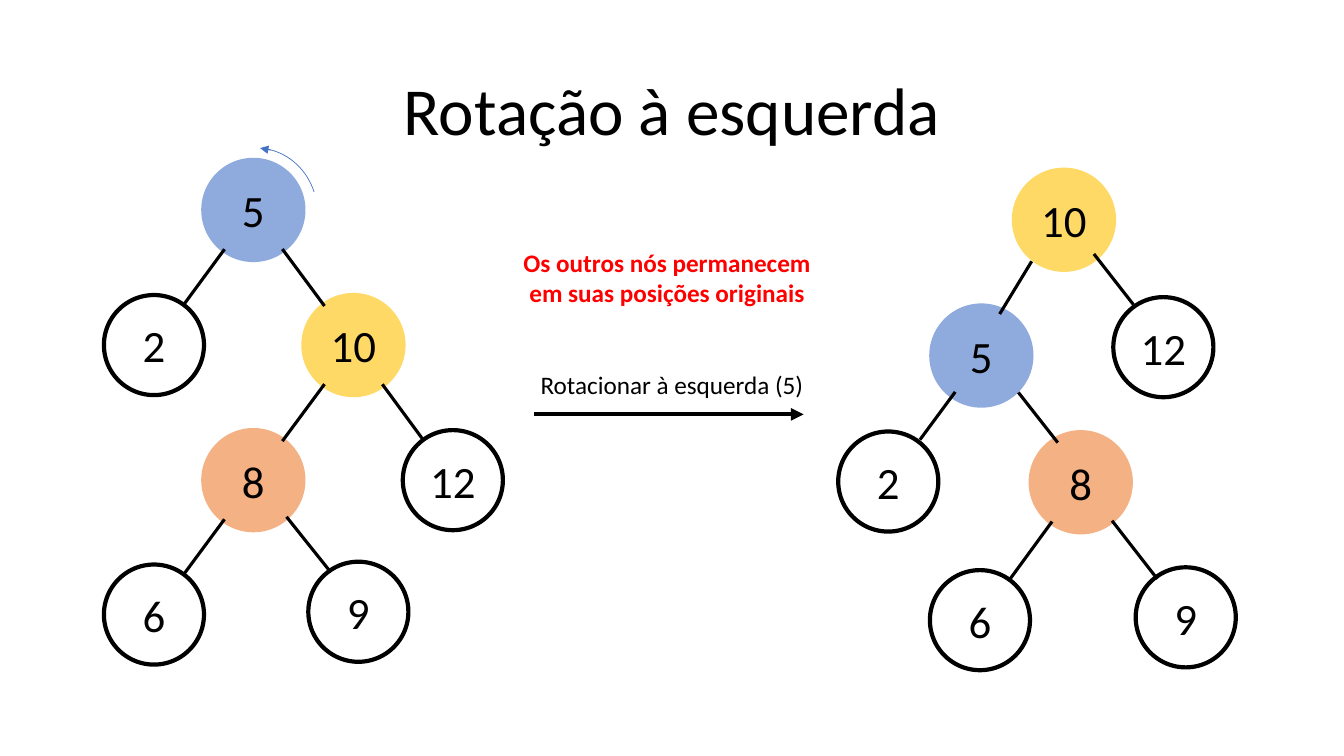
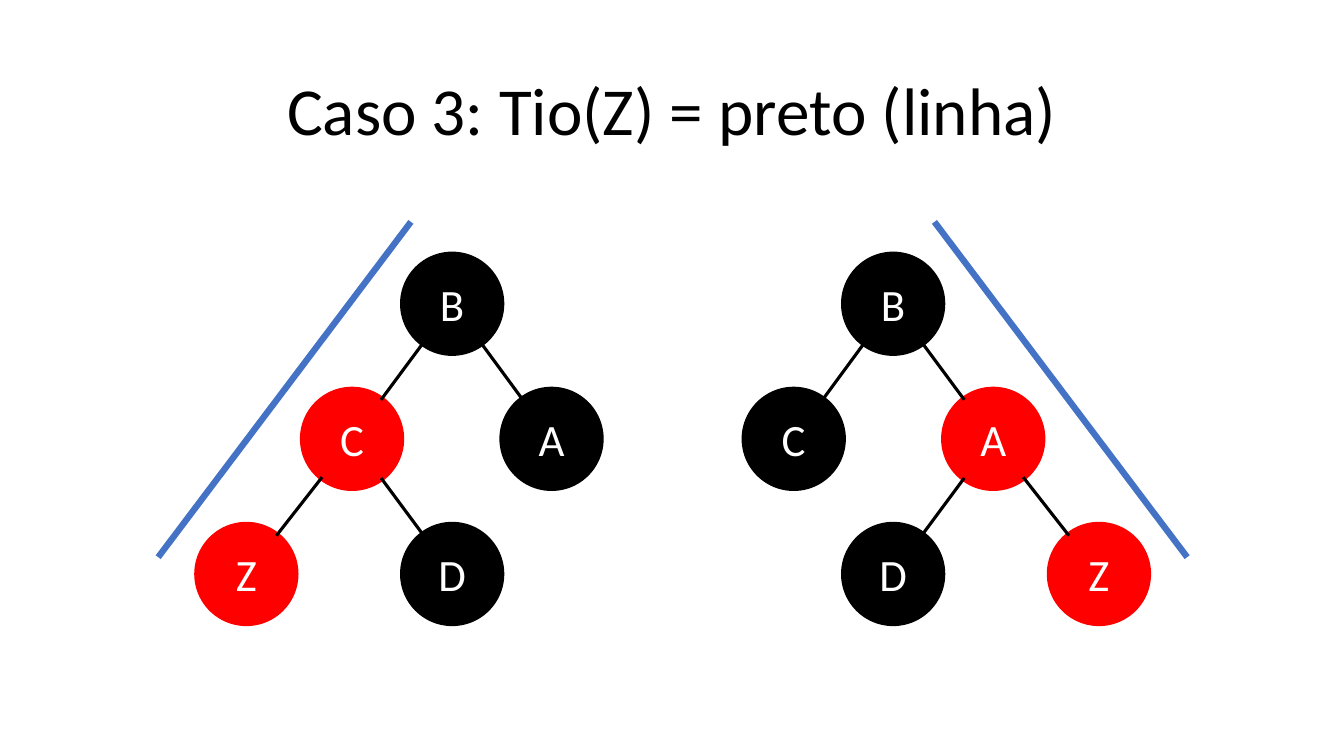
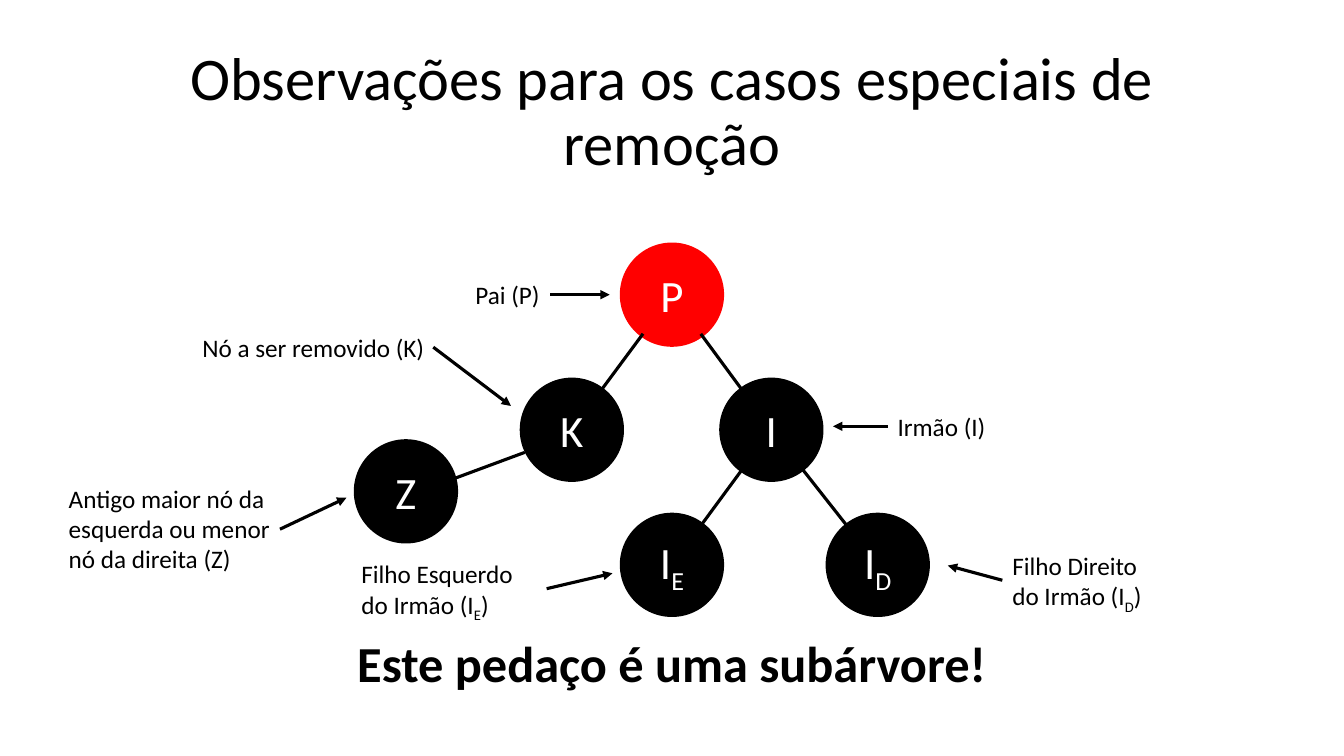
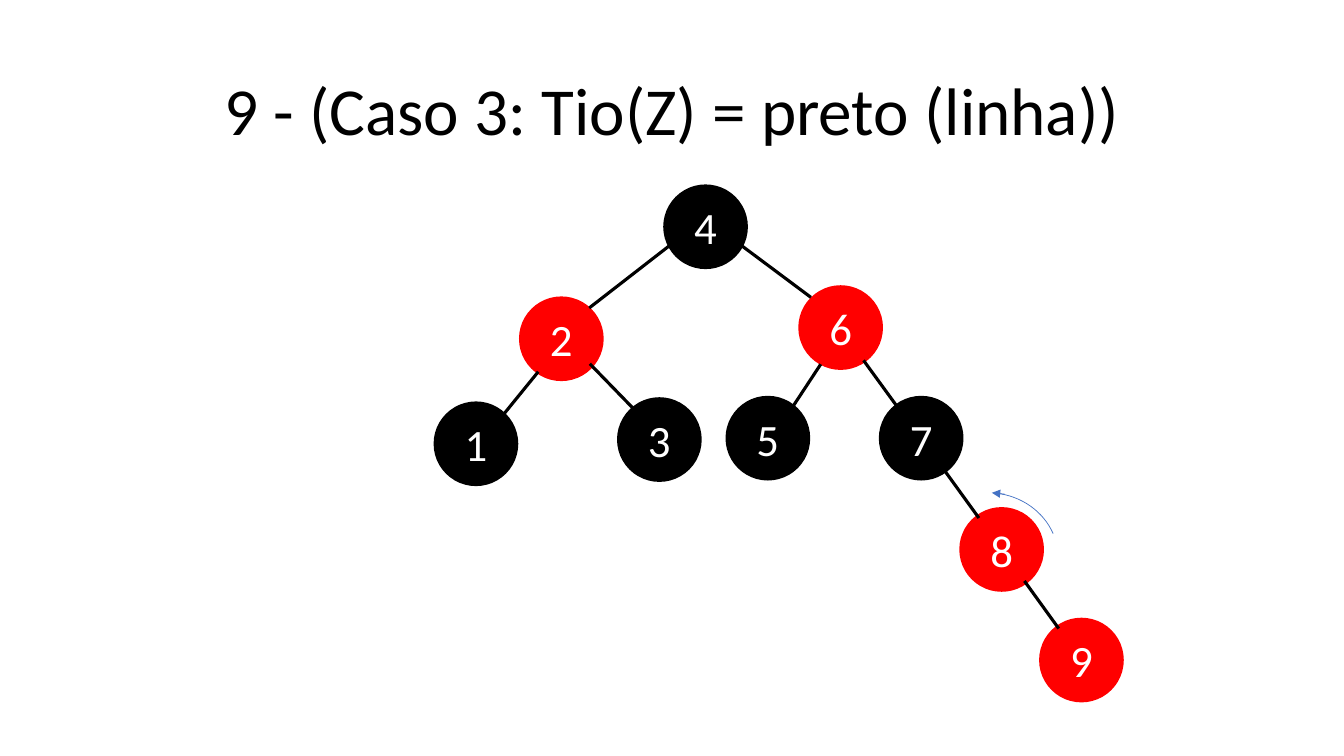
from dataclasses import dataclass
from math import hypot

from lxml.etree import SubElement
from pptx import Presentation
from pptx.dml.color import RGBColor
from pptx.enum.shapes import MSO_CONNECTOR, MSO_SHAPE
from pptx.enum.text import MSO_ANCHOR, PP_ALIGN
from pptx.oxml.ns import qn
from pptx.util import Pt


@dataclass(frozen=True)
class Theme:
    font: str = "Calibri"
    black: str = "000000"
    white: str = "FFFFFF"
    red: str = "FF0000"
    blue: str = "4472C4"
    soft_blue: str = "8FAADC"
    yellow: str = "FFD966"
    orange: str = "F4B183"
    title: float = 48
    long_title: float = 43.2
    closing: float = 36
    key: float = 32
    label: float = 18
    edge: float = 2.25
    outline: float = 3
    bar: float = 4.5
    hairline: float = 0.5


THEME = Theme()
LARGE, SMALL = 71.5, 57.5


def rgb(value):
    return RGBColor.from_string(value)


def write(shape, text, size, color, align=PP_ALIGN.LEFT, bold=False, spacing=None):
    """Fill a shape with one paragraph; text between underscores is subscript."""
    para = shape.text_frame.paragraphs[0]
    para.alignment = align
    if spacing:
        para.line_spacing = spacing
    font = para.font
    font.name, font.size, font.bold = THEME.font, Pt(size), bold
    font.color.rgb = rgb(color)
    for index, piece in enumerate(text.split("_")):
        if piece:
            span = para.add_run()
            span.text = piece
            if index % 2:
                span.font._element.set("baseline", "-25000")


def add_text(page, text, left, top, width, height, size=THEME.label,
             color=THEME.black, anchor=MSO_ANCHOR.TOP, **style):
    box = page.shapes.add_textbox(Pt(left), Pt(top), Pt(width), Pt(height))
    box.text_frame.word_wrap = True
    box.text_frame.vertical_anchor = anchor
    write(box, text, size, color, **style)


def add_page(deck, title, size=THEME.title):
    page = deck.slides.add_slide(deck.slide_layouts[6])
    add_text(page, title, 66, 29, 828, 104, size, anchor=MSO_ANCHOR.MIDDLE,
             align=PP_ALIGN.CENTER, spacing=0.9)
    return page


def add_line(page, start, end, color=THEME.black, width=THEME.edge, arrow=False):
    line = page.shapes.add_connector(
        MSO_CONNECTOR.STRAIGHT, *(Pt(value) for value in (*start, *end)))
    line.line.color.rgb = rgb(color)
    line.line.width = Pt(width)
    if arrow:
        SubElement(line.line._get_or_add_ln(), qn("a:tailEnd"), type="triangle")
    SubElement(line._element.spPr, qn("a:effectLst"))


def add_node(page, text, center, diameter, fill, outline, color):
    x, y = center
    node = page.shapes.add_shape(
        MSO_SHAPE.OVAL, Pt(x - diameter / 2), Pt(y - diameter / 2),
        Pt(diameter), Pt(diameter))
    node.shadow.inherit = False
    node.fill.solid()
    node.fill.fore_color.rgb = rgb(fill)
    node.line.color.rgb = rgb(outline)
    node.line.width = Pt(THEME.outline)
    frame = node.text_frame
    frame.margin_left = frame.margin_right = 0
    frame.margin_top = frame.margin_bottom = 0
    frame.vertical_anchor = MSO_ANCHOR.MIDDLE
    write(node, text, THEME.key, color, PP_ALIGN.CENTER)


def add_edge(page, parent, child, diameter, shift=(0, 0)):
    """Join the rims of two nodes along the line between their centers."""
    dx, dy = child[0] - parent[0], child[1] - parent[1]
    reach = (diameter / 2 - 1) / hypot(dx, dy)

    def point(part):
        return parent[0] + dx * part + shift[0], parent[1] + dy * part + shift[1]

    add_line(page, point(reach), point(1 - reach))


def add_tree(page, centers, edges, look, diameter=LARGE):
    """Draw nodes, then edges given as (parent, child[, shift])."""
    for key, center in centers.items():
        add_node(page, key, center, diameter, *look(key))
    for parent, child, *shift in edges:
        add_edge(page, centers[parent], centers[child], diameter, *shift)


def red_black(red_keys):
    def look(key):
        fill = THEME.red if key in red_keys else THEME.black
        return fill, fill, THEME.white
    return look


def rotation_look(key):
    fills = {"5": THEME.soft_blue, "10": THEME.yellow, "8": THEME.orange}
    return fills.get(key, THEME.white), fills.get(key, THEME.black), THEME.black


def add_turn(page, left, top, width, height, head, tip):
    """Draw a counterclockwise arc ending in a small arrow from head to tip."""
    arc = page.shapes.add_shape(
        MSO_SHAPE.ARC, Pt(left), Pt(top), Pt(width), Pt(height))
    arc.adjustments[0], arc.adjustments[1] = 168.13, 203.61
    arc.shadow.inherit = False
    arc.fill.background()
    arc.line.color.rgb = rgb(THEME.blue)
    arc.line.width = Pt(THEME.hairline)
    add_line(page, head, tip, THEME.blue, THEME.hairline, arrow=True)


def rotation_page(deck):
    page = add_page(deck, "Rotação à esquerda")
    before = {
        "5": (181, 150), "2": (110, 246.5), "10": (252.5, 246.5), "8": (181, 343),
        "12": (323.5, 343), "6": (110, 439), "9": (256, 437),
    }
    after = {
        "10": (760, 157), "12": (831, 248), "5": (701, 254), "2": (634.5, 344),
        "8": (772, 344.5), "6": (700, 443), "9": (847, 441),
    }
    add_tree(page, before, [
        ("5", "2"), ("5", "10"), ("10", "8"), ("10", "12"), ("8", "6"),
        ("8", "9", (2, -1))], rotation_look)
    add_tree(page, after, [
        ("10", "5", (-5, 0)), ("10", "12", (0, -3)), ("5", "2", (2, -2)),
        ("5", "8", (5, -1)), ("8", "6"), ("8", "9", (1, 0))], rotation_look)
    add_turn(page, 139.7, 105.8, 87.1, 93.6, (193.7, 107.3), (185.8, 105.8))
    add_text(page, "Os outros nós permanecem em suas posições originais",
             359, 173, 235, 51, color=THEME.red, align=PP_ALIGN.CENTER, bold=True)
    add_text(page, "Rotacionar à esquerda (5)", 375, 260.5, 210, 29,
             align=PP_ALIGN.CENTER)
    add_line(page, (381.5, 296), (574, 296), width=THEME.outline, arrow=True)


def line_case_page(deck):
    page = add_page(deck, "Caso 3: Tio(Z) = preto (linha)")
    spots = {"root": (638, 217), "uncle": (567, 313.5), "parent": (709.5, 313.5),
             "sibling": (638, 410), "child": (785, 410)}
    links = [("root", "uncle"), ("root", "parent"), ("parent", "sibling"),
             ("parent", "child")]
    bar = ((667.5, 158.5), (848, 398))

    def keep(point):
        return point

    def mirror(point):
        return 961 - point[0], point[1]

    for place, parent, uncle in ((keep, "A", "C"), (mirror, "C", "A")):
        names = {"root": "B", "uncle": uncle, "parent": parent,
                 "sibling": "D", "child": "Z"}
        centers = {names[role]: place(spot) for role, spot in spots.items()}
        edges = [(names[top], names[bottom]) for top, bottom in links]
        add_tree(page, centers, edges, red_black({parent, "Z"}))
        add_line(page, *map(place, bar), THEME.blue, THEME.bar)


def removal_page(deck):
    page = add_page(deck, "Observações para os casos especiais de remoção",
                    THEME.long_title)
    centers = {"P": (480, 210.5), "K": (408.5, 307), "I": (551, 307),
               "I_E_": (480, 403.5), "I_D_": (627, 403.5), "Z": (290, 351)}
    add_tree(page, centers, [
        ("P", "K"), ("P", "I"), ("I", "I_E_"), ("I", "I_D_"),
        ("K", "Z", (-1, 4))], red_black({"P"}))
    labels = [
        ("Irmão (I)", (634, 290, 82, 29), (634, 304.5), (595, 304.5)),
        ("Pai (P)", (332.5, 196, 64, 29), (393, 210.5), (435.5, 210.5)),
        ("Antigo maior nó da esquerda ou menor nó da direita (Z)",
         (42, 341.5, 159, 73), (200, 378), (247.5, 355.5)),
        ("Filho Direito do Irmão (I_D_)", (716, 389.5, 123, 51),
         (716, 414.5), (677, 404)),
        ("Filho Esquerdo do Irmão (I_E_)", (251, 395.5, 140, 51),
         (390.5, 420.5), (437.5, 409.5)),
        ("Nó a ser removido (K)", (137.5, 233.5, 172.8, 29),
         (309.5, 248), (365, 290)),
    ]
    for text, frame, start, end in labels:
        add_text(page, text, *frame)
        add_line(page, start, end, arrow=True)
    add_text(page, "Este pedaço é uma subárvore!", 0, 411, 960, 129, THEME.closing,
             anchor=MSO_ANCHOR.MIDDLE, align=PP_ALIGN.CENTER, bold=True, spacing=0.9)


def insertion_page(deck):
    page = add_page(deck, "9 - (Caso 3: Tio(Z) = preto (linha))")
    centers = {
        "4": (504, 162), "2": (401, 242), "6": (600.5, 234), "1": (340, 317),
        "3": (471, 314), "5": (548.5, 313), "7": (658, 313),
        "8": (715.5, 392.5), "9": (772.5, 471.5),
    }
    add_tree(page, centers, [
        ("4", "2", (-2, -5)), ("4", "6", (1, -5)), ("2", "1", (1, 2)),
        ("2", "3", (1, -2)), ("6", "5", (1, 3)), ("6", "7", (0, 1)),
        ("7", "8"), ("8", "9")], red_black({"2", "6", "8", "9"}), SMALL)
    add_turn(page, 655.2, 352, 100.8, 93.6, (717.8, 353), (708.5, 352))


def main():
    deck = Presentation()
    deck.slide_width, deck.slide_height = Pt(960), Pt(540)
    rotation_page(deck)
    line_case_page(deck)
    removal_page(deck)
    insertion_page(deck)
    deck.save("out.pptx")


if __name__ == "__main__":
    main()
